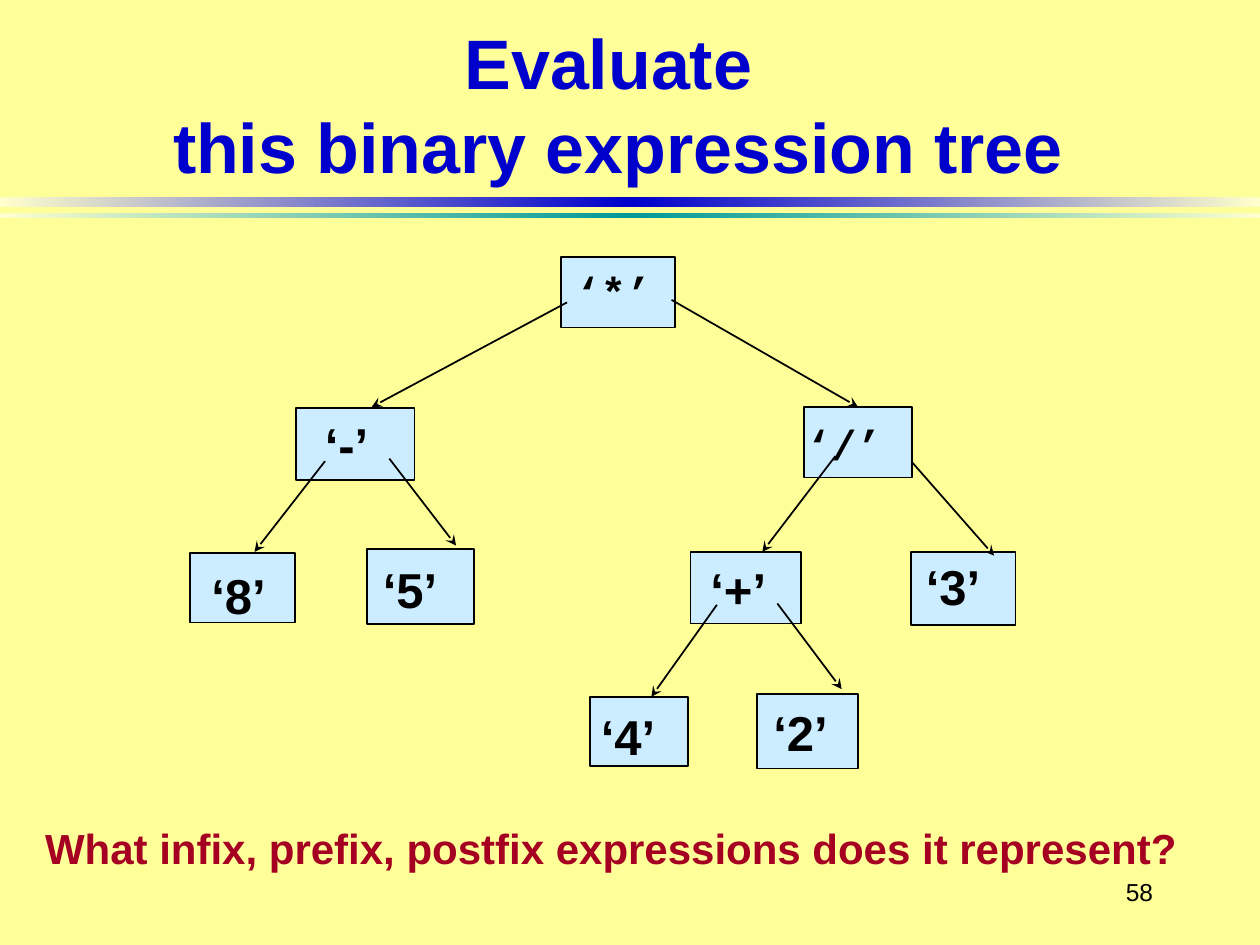
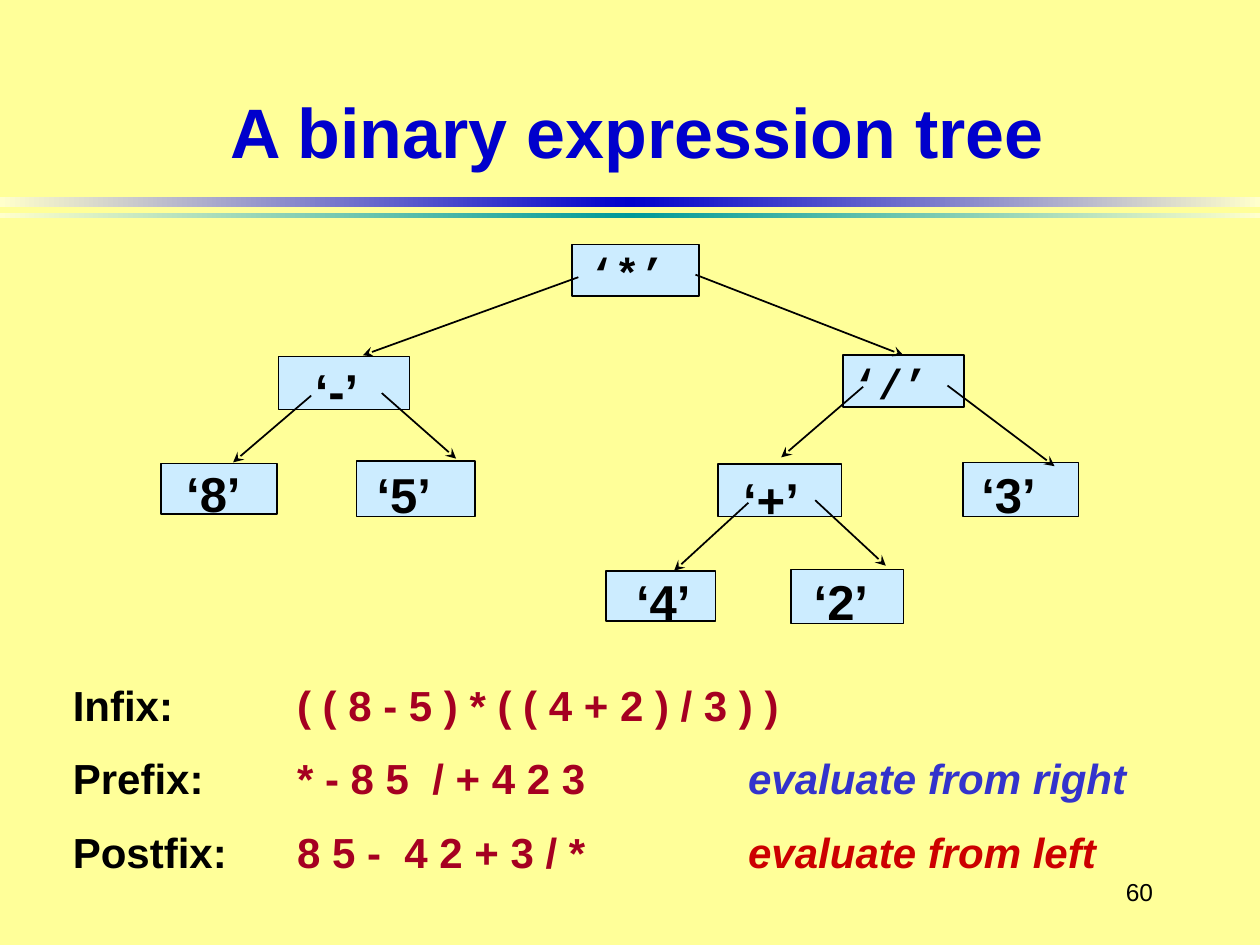
from copy import deepcopy
from dataclasses import dataclass
from math import dist
from typing import Optional

from lxml.etree import SubElement
from pptx import Presentation
from pptx.dml.color import RGBColor
from pptx.enum.shapes import MSO_CONNECTOR as CONN, MSO_SHAPE as SHAPE
from pptx.enum.text import MSO_ANCHOR as ANCHOR, PP_ALIGN as ALIGN
from pptx.oxml.ns import qn
from pptx.util import Inches, Pt

BLACK = RGBColor(0x00, 0x00, 0x00)
PAPER = RGBColor(0xFF, 0xFF, 0x99)
CREAM = RGBColor(0xFF, 0xFF, 0xCC)
BLUE = RGBColor(0x00, 0x00, 0xCC)
TEAL = RGBColor(0x00, 0x99, 0x99)
SKY = RGBColor(0xCC, 0xEC, 0xFF)
MAROON = RGBColor(0xA5, 0x00, 0x21)
INDIGO = RGBColor(0x33, 0x33, 0xCC)
RED = RGBColor(0xCC, 0x00, 0x00)

Point = tuple[float, float]
Box = tuple[float, float, float, float]

NOTATION_TABS = (1.78, 5.36)
SNAP = 0.04


@dataclass(frozen=True)
class Band:
    top: float
    height: float
    color: RGBColor


@dataclass(frozen=True)
class Node:
    symbol: str
    box: Box
    label_at: Point

    def site_near(self, point: Point) -> Optional[int]:
        x, y, w, h = self.box
        sites = [(x + w / 2, y), (x, y + h / 2), (x + w / 2, y + h), (x + w, y + h / 2)]
        return next((i for i, site in enumerate(sites) if dist(site, point) < SNAP), None)


@dataclass(frozen=True)
class Edge:
    parent: str
    child: str
    start: Point
    end: Point


@dataclass(frozen=True)
class Notation:
    name: str
    expression: str
    hint: str = ""
    hint_color: RGBColor = BLACK


BANDS = [Band(1.56, 0.08, BLUE), Band(1.69, 0.04, TEAL)]

QUESTION_NODES = [
    Node("*", (4.45, 2.04, 0.91, 0.56), (4.47, 2.06)),
    Node("-", (2.35, 3.24, 0.94, 0.57), (2.48, 3.24)),
    Node("8", (1.51, 4.39, 0.83, 0.55), (1.58, 4.44)),
    Node("5", (2.91, 4.36, 0.85, 0.59), (2.94, 4.39)),
    Node("/", (6.38, 3.23, 0.86, 0.56), (6.3, 3.27)),
    Node("+", (5.48, 4.38, 0.88, 0.57), (5.54, 4.39)),
    Node("3", (7.23, 4.38, 0.83, 0.58), (7.25, 4.37)),
    Node("4", (4.68, 5.53, 0.78, 0.55), (4.67, 5.56)),
    Node("2", (6.01, 5.51, 0.8, 0.59), (6.04, 5.53)),
]
QUESTION_EDGES = [
    Edge("*", "-", (4.5, 2.4), (2.95, 3.23)),
    Edge("*", "/", (5.33, 2.38), (6.8, 3.25)),
    Edge("-", "8", (2.58, 3.66), (2.02, 4.38)),
    Edge("-", "5", (3.09, 3.64), (3.62, 4.33)),
    Edge("/", "+", (6.63, 3.62), (6.05, 4.38)),
    Edge("/", "3", (7.24, 3.67), (7.89, 4.41)),
    Edge("+", "4", (5.69, 4.8), (5.17, 5.53)),
    Edge("+", "2", (6.17, 4.79), (6.68, 5.47)),
]

ANSWER_NODES = [
    Node("*", (4.54, 1.94, 1.01, 0.41), (4.58, 1.91)),
    Node("-", (2.21, 2.83, 1.04, 0.42), (2.4, 2.81)),
    Node("8", (1.28, 3.68, 0.92, 0.4), (1.38, 3.63)),
    Node("5", (2.83, 3.66, 0.94, 0.44), (2.89, 3.64)),
    Node("/", (6.69, 2.82, 0.96, 0.41), (6.67, 2.79)),
    Node("+", (5.7, 3.68, 0.98, 0.42), (5.8, 3.68)),
    Node("3", (7.64, 3.67, 0.92, 0.43), (7.69, 3.64)),
    Node("4", (4.81, 4.53, 0.87, 0.4), (4.95, 4.49)),
    Node("2", (6.28, 4.52, 0.89, 0.43), (6.36, 4.49)),
]
ANSWER_EDGES = [
    Edge("*", "-", (4.59, 2.2), (2.88, 2.82)),
    Edge("*", "/", (5.52, 2.18), (7.14, 2.83)),
    Edge("-", "8", (2.47, 3.14), (1.85, 3.67)),
    Edge("-", "5", (3.03, 3.12), (3.62, 3.64)),
    Edge("/", "+", (6.85, 3.07), (6.2, 3.63)),
    Edge("/", "3", (7.52, 3.06), (8.37, 3.7)),
    Edge("+", "4", (5.94, 3.99), (5.35, 4.53)),
    Edge("+", "2", (6.47, 3.97), (7.03, 4.49)),
]

NOTATIONS = [
    Notation("Infix:", "( ( 8 - 5 ) * ( ( 4 + 2 ) / 3 ) )"),
    Notation("Prefix:", "* - 8 5  / + 4 2 3", "evaluate from right", INDIGO),
    Notation("Postfix:", "8 5 -  4 2 + 3 / *", "evaluate from left", RED),
]


def inches(values) -> list:
    return [Inches(v) for v in values]


def write(p, text: str, *, size: float = 24, color: RGBColor = BLACK, bold: bool = True,
          italic: bool = False, font: str = "Arial") -> None:
    for i, line in enumerate(text.split("\n")):
        if i:
            p.add_line_break()
        r = p.add_run()
        r.text = line
        r.font.name, r.font.size = font, Pt(size)
        r.font.bold, r.font.italic = bold, italic
        r.font.color.rgb = color


def add_frame(slide, box: Box, anchor=ANCHOR.TOP):
    tf = slide.shapes.add_textbox(*inches(box)).text_frame
    tf.word_wrap = True
    tf.vertical_anchor = anchor
    return tf


def add_text(slide, text: str, box: Box, *, align=ALIGN.LEFT, anchor=ANCHOR.TOP, **fmt) -> None:
    p = add_frame(slide, box, anchor).paragraphs[0]
    p.alignment = align
    write(p, text, **fmt)


def add_rect(slide, box: Box):
    sp = slide.shapes.add_shape(SHAPE.RECTANGLE, *inches(box))
    sp.shadow.inherit = False
    return sp


def add_band(slide, band: Band) -> None:
    sp = add_rect(slide, (0, band.top, 10, band.height))
    sp.line.fill.background()
    sp.fill.gradient()
    sp.fill.gradient_angle = 0
    stops = sp.element.spPr.find(qn("a:gradFill")).find(qn("a:gsLst"))
    stops.insert(1, deepcopy(stops[0]))
    for stop, position, color in zip(sp.fill.gradient_stops, (0, 0.5, 1), (CREAM, band.color, CREAM)):
        stop.position = position
        stop.color.rgb = color


def add_node(slide, node: Node):
    sp = add_rect(slide, node.box)
    sp.fill.solid()
    sp.fill.fore_color.rgb = SKY
    sp.line.color.rgb = BLACK
    sp.line.width = Pt(1)
    return sp


def add_edge(slide, edge: Edge, nodes: dict, boxes: dict) -> None:
    c = slide.shapes.add_connector(CONN.STRAIGHT, *inches(edge.start + edge.end))
    c.line.color.rgb = BLACK
    c.line.width = Pt(1)
    SubElement(c.line._get_or_add_ln(), qn("a:tailEnd"), type="stealth")
    SubElement(c.element.spPr, qn("a:effectLst"))
    for symbol, point, connect in ((edge.parent, edge.start, c.begin_connect),
                                   (edge.child, edge.end, c.end_connect)):
        site = nodes[symbol].site_near(point)
        if site is not None:
            connect(boxes[symbol], site)


def add_tree(slide, nodes: list[Node], edges: list[Edge]) -> None:
    by_symbol = {node.symbol: node for node in nodes}
    boxes = {node.symbol: add_node(slide, node) for node in nodes}
    for edge in edges:
        add_edge(slide, edge, by_symbol, boxes)
    for node in nodes:
        style = dict(size=24, font="Courier New") if node.symbol in "*/" else dict(size=28)
        add_text(slide, f"‘{node.symbol}’", (*node.label_at, 0.9, 0.57), **style)


def add_notations(slide, notations: list[Notation]) -> None:
    tf = add_frame(slide, (0.48, 5.34, 9, 1.64))
    for i, notation in enumerate(notations):
        p = tf.add_paragraph() if i else tf.paragraphs[0]
        tabs = SubElement(p._p.get_or_add_pPr(), qn("a:tabLst"))
        for stop in NOTATION_TABS:
            SubElement(tabs, qn("a:tab"), pos=str(Inches(stop)), algn="l")
        if i:
            p.space_before = Pt(13.3)
        write(p, notation.name)
        write(p, f"\t{notation.expression}", color=MAROON)
        if notation.hint:
            write(p, f"\t{notation.hint}", color=notation.hint_color, italic=True)


def add_slide(prs, title: str, title_at: Point, number: int):
    slide = prs.slides.add_slide(prs.slide_layouts[6])
    for band in BANDS:
        add_band(slide, band)
    add_text(slide, str(number), (8.58, 6.83, 0.67, 0.5), align=ALIGN.RIGHT,
             anchor=ANCHOR.MIDDLE, size=14, bold=False)
    add_text(slide, title, (*title_at, 9.31, 1.25), align=ALIGN.CENTER,
             anchor=ANCHOR.BOTTOM, size=40, color=BLUE)
    return slide


def main() -> None:
    prs = Presentation()
    prs.slide_width, prs.slide_height = Inches(10), Inches(7.5)
    paper = prs.slide_master.background.fill
    paper.solid()
    paper.fore_color.rgb = PAPER

    question = add_slide(prs, "Evaluate \nthis binary expression tree", (0.25, 0.29), 58)
    add_tree(question, QUESTION_NODES, QUESTION_EDGES)
    add_text(question, "What infix, prefix, postfix expressions does it represent?",
             (0.26, 6.48, 9.5, 0.5), color=MAROON)

    answer = add_slide(prs, "A binary expression tree", (0.4, 0.17), 60)
    add_notations(answer, NOTATIONS)
    add_tree(answer, ANSWER_NODES, ANSWER_EDGES)

    prs.save("out.pptx")


if __name__ == "__main__":
    main()
